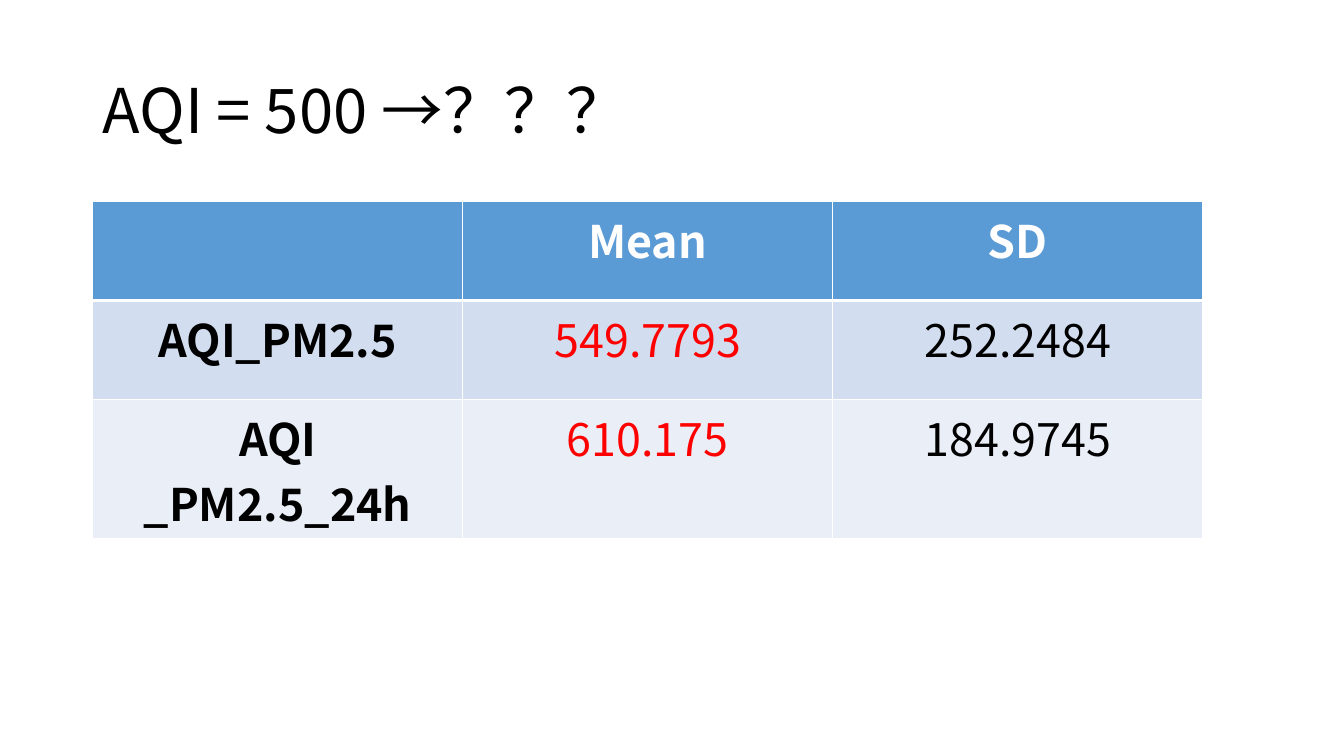
from lxml.etree import SubElement as Sub
from pptx import Presentation
from pptx.dml.color import RGBColor as RGB
from pptx.enum.text import MSO_ANCHOR as Anchor, PP_ALIGN as Align
from pptx.oxml.ns import qn
from pptx.util import Inches, Pt

FONT = "Noto Sans CJK SC"


def style(par, size, color, bold=False):
    """Format every run, with one face for Latin and East Asian text."""
    for run in par.runs:
        font = run.font
        font.size, font.bold, font.name = Pt(size), bold, FONT
        font.color.rgb = RGB.from_string(color)
        Sub(run._r.get_or_add_rPr(), qn("a:ea"), typeface=FONT)


def edge(cell, side, width):
    """Draw one white border of a cell."""
    line = Sub(cell._tc.get_or_add_tcPr(), qn("a:ln" + side), w=str(Pt(width)))
    fill = Sub(line, qn("a:solidFill"))
    Sub(fill, qn("a:srgbClr"), val="FFFFFF")


deck = Presentation()
deck.slide_width, deck.slide_height = Inches(13.33), Inches(7.5)
slide = deck.slides.add_slide(deck.slide_layouts[6])
left = Inches(0.92)

# Title
box = slide.shapes.add_textbox(left, Inches(0.4), Inches(11.5), Inches(1.45))
frame = box.text_frame
frame.word_wrap = True
frame.vertical_anchor = Anchor.MIDDLE
frame.text = "AQI = 500 →？？？"
title = frame.paragraphs[0]
title.line_spacing = 0.9
style(title, 44, "000000")

# Table of means and deviations; the last row holds a two-line label
data = [
    ["", "Mean", "SD"],
    ["AQI_PM2.5", "549.7793", "252.2484"],
    ["AQI _PM2.5_24h", "610.175", "184.9745"],
]
fills = ["5B9BD5", "D2DEEF", "EAEFF7"]
inks = ["000000", "FF0000", "000000"]
highs = [0.98, 0.98, 1.38]
grid = slide.shapes.add_table(
    3, 3, left, Inches(2), Inches(3 * 3.67), Inches(sum(highs))).table

for r, row in enumerate(data):
    grid.rows[r].height = Inches(highs[r])
    for c, text in enumerate(row):
        cell = grid.cell(r, c)
        head = r == 0
        edge(cell, "L", 1)
        edge(cell, "R", 1)
        edge(cell, "T", 3 if r == 1 else 1)
        edge(cell, "B", 3 if head else 1)
        cell.fill.solid()
        cell.fill.fore_color.rgb = RGB.from_string(fills[r])
        par = cell.text_frame.paragraphs[0]
        par.alignment = Align.CENTER
        if text:
            par.text = text
            style(par, 32, "FFFFFF" if head else inks[c], head or c == 0)

deck.save("out.pptx")
